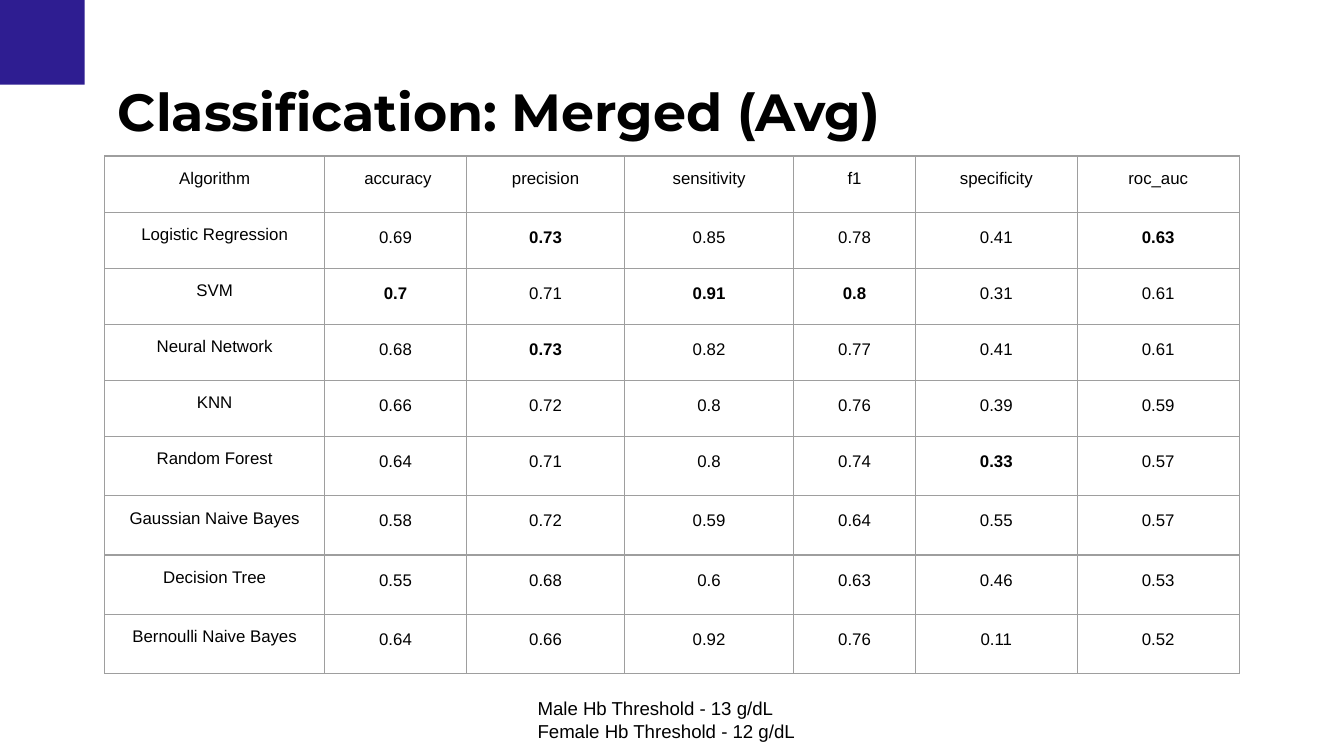
from lxml.etree import SubElement
from pptx import Presentation
from pptx.dml.color import RGBColor
from pptx.enum.shapes import MSO_SHAPE
from pptx.enum.text import MSO_ANCHOR, PP_ALIGN
from pptx.oxml.ns import qn
from pptx.util import Cm, Pt

INDIGO = RGBColor(0x2E, 0x1D, 0x91)
BLACK = RGBColor(0, 0, 0)
GRAY = RGBColor(0x9E, 0x9E, 0x9E)

PAD = Cm(0.25)
WIDTHS = [4.15, 2.69, 2.98, 3.2, 2.3, 3.06, 3.06]
HEIGHTS = [1.06] * 5 + [1.12] * 4
SCORES = [
    ["Algorithm", " accuracy", "precision", "sensitivity", "f1", "specificity", "roc_auc"],
    ["Logistic Regression", "0.69", "0.73", "0.85", "0.78", "0.41", "0.63"],
    ["SVM", "0.7", "0.71", "0.91", "0.8", "0.31", "0.61"],
    ["Neural Network", "0.68", "0.73", "0.82", "0.77", "0.41", "0.61"],
    ["KNN", "0.66", "0.72", "0.8", "0.76", "0.39", "0.59"],
    ["Random Forest", "0.64", "0.71", "0.8", "0.74", "0.33", "0.57"],
    ["Gaussian Naive Bayes", "0.58", "0.72", "0.59", "0.64", "0.55", "0.57"],
    ["Decision Tree", "0.55", "0.68", "0.6", "0.63", "0.46", "0.53"],
    ["Bernoulli Naive Bayes", "0.64", "0.66", "0.92", "0.76", "0.11", "0.52"],
]
# (row, column) of the scores set in bold
BOLD = {(1, 2), (1, 6), (2, 1), (2, 3), (2, 4), (3, 2), (5, 5)}


class Deck:
    def __init__(self, slide, font="Arial"):
        self.slide = slide
        self.font = font

    def label(self, frame, text, size, bold=False, align=PP_ALIGN.LEFT, font=None):
        frame.text = text
        frame.word_wrap = True
        for par in frame.paragraphs:
            par.alignment = align
            for run in par.runs:
                run.font.name = font or self.font
                run.font.size = Pt(size)
                run.font.bold = bold
                run.font.color.rgb = BLACK

    def inset(self, box):
        """Give a cell or text frame the same padding on all sides."""
        box.margin_left = box.margin_right = PAD
        box.margin_top = box.margin_bottom = PAD
        box.vertical_anchor = MSO_ANCHOR.TOP

    def title(self, text, left, top, width, height):
        shape = self.slide.shapes.title
        shape.left, shape.top = Cm(left), Cm(top)
        shape.width, shape.height = Cm(width), Cm(height)
        self.inset(shape.text_frame)
        self.label(shape.text_frame, text, 28, bold=True, font="Montserrat")

    def block(self, left, top, width, height, color):
        shape = self.slide.shapes.add_shape(
            MSO_SHAPE.RECTANGLE, Cm(left), Cm(top), Cm(width), Cm(height))
        shape.shadow.inherit = False
        shape.fill.solid()
        shape.fill.fore_color.rgb = color
        shape.line.fill.background()

    def note(self, text, left, top, width, height):
        frame = self.slide.shapes.add_textbox(
            Cm(left), Cm(top), Cm(width), Cm(height)).text_frame
        self.inset(frame)
        self.label(frame, text, 10)

    def border(self, cell):
        props = cell._tc.get_or_add_tcPr()
        for spot, side in enumerate(("lnL", "lnR", "lnT", "lnB")):
            line = SubElement(props, qn(f"a:{side}"), w=str(Pt(0.75)))
            fill = SubElement(line, qn("a:solidFill"))
            SubElement(fill, qn("a:srgbClr"), val=str(GRAY))
            props.insert(spot, line)

    def table(self, rows, left, top, widths, heights, bold):
        grid = self.slide.shapes.add_table(
            len(rows), len(widths), Cm(left), Cm(top),
            Cm(sum(widths)), Cm(sum(heights))).table
        grid.first_row = grid.horz_banding = False
        for col, width in zip(grid.columns, widths):
            col.width = Cm(width)
        for row, height in zip(grid.rows, heights):
            row.height = Cm(height)
        for r, row in enumerate(rows):
            for c, text in enumerate(row):
                cell = grid.cell(r, c)
                cell.fill.background()
                self.border(cell)
                self.inset(cell)
                self.label(cell.text_frame, text, 9, (r, c) in bold, PP_ALIGN.CENTER)
                if r and c:
                    cell.text_frame.paragraphs[0].line_spacing = 1.15


def main():
    prs = Presentation()
    prs.slide_width, prs.slide_height = Cm(25.4), Cm(14.29)
    deck = Deck(prs.slides.add_slide(prs.slide_layouts[5]))
    deck.block(0, 0, 1.6, 1.6, INDIGO)
    deck.title("Classification: Merged (Avg)", 1.98, 1.24, 21.44, 1.7)
    deck.table(SCORES, 1.98, 2.95, WIDTHS, HEIGHTS, BOLD)
    deck.note("Male Hb Threshold - 13 g/dL\nFemale Hb Threshold - 12 g/dL",
              9.91, 12.93, 5.59, 1.37)
    prs.save("out.pptx")


if __name__ == "__main__":
    main()
